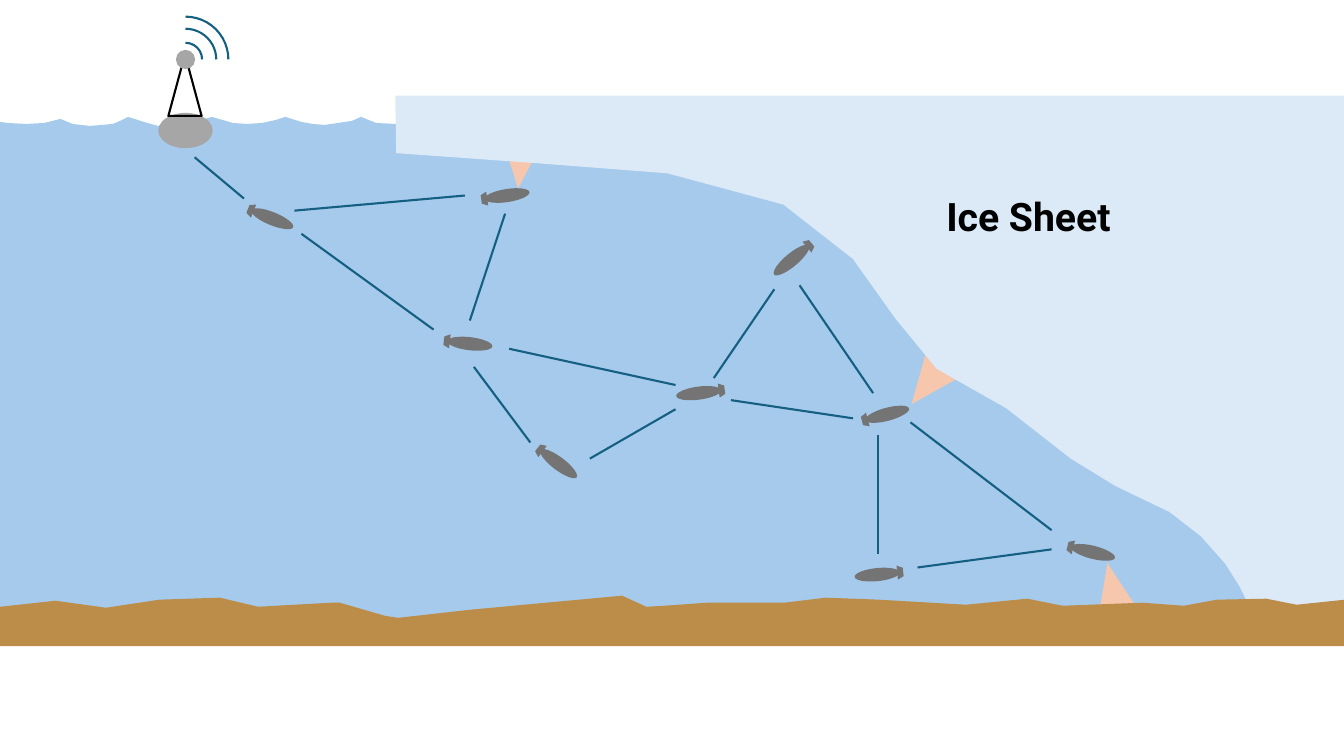
from math import cos, radians, sin

from lxml.etree import SubElement
from pptx import Presentation
from pptx.dml.color import RGBColor
from pptx.enum.shapes import MSO_CONNECTOR, MSO_SHAPE
from pptx.enum.text import MSO_AUTO_SIZE, PP_ALIGN
from pptx.oxml.ns import qn
from pptx.util import Inches, Pt

WATER = RGBColor(0xA6, 0xCA, 0xEC)
ICE = RGBColor(0xDC, 0xEA, 0xF7)
SAND = RGBColor(0xBB, 0x8D, 0x49)
SONAR = RGBColor(0xF6, 0xC6, 0xAD)
HULL = RGBColor(0x74, 0x74, 0x74)
BUOY = RGBColor(0xA6, 0xA6, 0xA6)
SIGNAL = RGBColor(0x15, 0x60, 0x82)
BLACK = RGBColor(0, 0, 0)
WHITE = RGBColor(0xFF, 0xFF, 0xFF)

WAVES = [
    (-0.18, 1.17), (-0.06, 1.2), (0.07, 1.22), (0.26, 1.23), (0.44, 1.22),
    (0.6, 1.18), (0.72, 1.23), (0.89, 1.25), (1.12, 1.23), (1.19, 1.2),
    (1.27, 1.16), (1.46, 1.22), (1.57, 1.25), (1.74, 1.24), (1.92, 1.22),
    (2, 1.19), (2.1, 1.16), (2.31, 1.22), (2.45, 1.23), (2.6, 1.22),
    (2.74, 1.19), (2.83, 1.16), (2.99, 1.21), (3.1, 1.23), (3.22, 1.24),
    (3.49, 1.2), (3.58, 1.16), (3.73, 1.22), (3.92, 1.23), (4.05, 1.21),
    (4.21, 1.18), (4.28, 1.14), (4.3, 1.4), (-0.18, 1.4),
]
ICE_EDGE = [
    (3.92, 0.95), (15.4, 0.95), (15.4, 7.29), (14.63, 7.29), (14.55, 7.14),
    (14.43, 6.95), (14.25, 6.8), (13.88, 6.57), (13.4, 6.41), (12.93, 6.18),
    (12.39, 6.01), (12.29, 5.81), (12.15, 5.59), (11.91, 5.32), (11.6, 5.08),
    (11.06, 4.82), (10.62, 4.55), (9.98, 4.05), (9.29, 3.66), (8.88, 3.16),
    (8.46, 2.57), (7.77, 2.03), (6.62, 1.72), (5.33, 1.62), (3.93, 1.52),
]
SEABED = [
    (-0.18, 6.04), (0.55, 5.96), (1.05, 6.03), (1.58, 5.95), (2.18, 5.93),
    (2.56, 6.02), (3.28, 5.98), (3.37, 5.98), (3.82, 6.11), (3.95, 6.13),
    (4.66, 6.05), (6.17, 5.91), (6.41, 6.02), (6.59, 6.01), (7.01, 5.98),
    (7.78, 5.98), (8.19, 5.93), (8.72, 5.95), (9.58, 6), (10.19, 5.94),
    (10.54, 6.01), (11.33, 5.98), (11.74, 6.01), (12.07, 5.95), (12.56, 5.94),
    (12.86, 6), (13.34, 5.95), (13.77, 5.95), (14.16, 5.96), (14.92, 6.06),
    (15.39, 6.13), (15.4, 6.41), (-0.18, 6.41),
]
# left, top, width, height, rotation
CONES = [
    (4.96, 1.39, 0.4, 0.48, 185.1),
    (10.84, 5.58, 0.39, 0.5, 348.1),
    (8.99, 3.58, 0.4, 0.48, 218.2),
]
# centre x, centre y, heading
GLIDERS = [
    (2.7, 2.17, 22.1), (8.8, 4.11, 345), (10.84, 5.48, 14.1),
    (8.7, 5.7, 174.2), (6.93, 3.9, 172.5), (4.66, 3.41, 6.7),
    (7.85, 2.58, 140.1), (5.54, 4.6, 37), (5.03, 1.94, 351.3),
]
LINKS = [
    (5.05, 3.46, 6.7, 3.82), (7.25, 3.97, 8.46, 4.15),
    (10.43, 5.45, 9.1, 5.63), (10.43, 5.26, 9.03, 4.19),
    (8.66, 3.9, 7.93, 2.83), (4.66, 3.18, 5.01, 2.12),
    (8.71, 4.32, 8.71, 5.5), (2.42, 1.97, 1.93, 1.56),
    (4.3, 3.27, 2.99, 2.32), (4.61, 1.94, 2.92, 2.09),
    (7.08, 3.75, 7.68, 2.87), (5.85, 4.55, 6.7, 4.06),
    (5.26, 4.39, 4.7, 3.64),
]


def paint(shape, fill=None, line=None):
    shape.shadow.inherit = False
    if fill is None:
        shape.fill.background()
    else:
        shape.fill.solid()
        shape.fill.fore_color.rgb = fill
    if line is None:
        shape.line.fill.background()
    else:
        shape.line.color.rgb = line
        shape.line.width = Pt(1.5)


def add_form(shapes, kind, box, fill=None, line=None, turn=0):
    shape = shapes.add_shape(kind, *map(Inches, box))
    shape.rotation = turn
    paint(shape, fill, line)


def add_mid(shapes, kind, x, y, wide, high, **look):
    """Add a preset shape around its centre."""
    add_form(shapes, kind, (x - wide / 2, y - high / 2, wide, high), **look)


def add_land(shapes, points, fill):
    """Add a closed outline through the points."""
    dots = [(Inches(x), Inches(y)) for x, y in points]
    builder = shapes.build_freeform(*dots[0])
    builder.add_line_segments(dots[1:], close=True)
    paint(builder.convert_to_shape(), fill)


def add_glider(shapes, x, y, turn):
    """Group a hull with a fin at the end of its long axis."""
    parts = shapes.add_group_shape().shapes
    angle, reach = radians(turn), 0.23
    add_mid(parts, MSO_SHAPE.OVAL, x, y, 0.45, 0.13, fill=HULL, turn=turn)
    add_mid(parts, MSO_SHAPE.FLOWCHART_MANUAL_OPERATION,
            x - reach * cos(angle), y - reach * sin(angle),
            0.14, 0.06, fill=HULL, turn=(turn + 90) % 360)


def add_link(shapes, *ends):
    link = shapes.add_connector(MSO_CONNECTOR.STRAIGHT, *map(Inches, ends))
    link.line.color.rgb = SIGNAL
    link.line.width = Pt(1.5)
    SubElement(link._element.spPr, qn("a:effectLst"))


def add_buoy(shapes):
    x, y = 1.84, 0.59
    add_form(shapes, MSO_SHAPE.OVAL, (1.57, 1.12, 0.54, 0.35), BUOY)
    add_form(shapes, MSO_SHAPE.ISOSCELES_TRIANGLE, (1.67, 0.54, 0.33, 0.61),
             line=BLACK)
    add_mid(shapes, MSO_SHAPE.OVAL, x, y, 0.19, 0.19, fill=BUOY)
    for size in (0.33, 0.61, 0.85):
        add_mid(shapes, MSO_SHAPE.ARC, x, y, size, size, line=SIGNAL)


def add_label(shapes, text, box):
    frame = shapes.add_textbox(*map(Inches, box)).text_frame
    frame.word_wrap = True
    frame.auto_size = MSO_AUTO_SIZE.SHAPE_TO_FIT_TEXT
    para = frame.paragraphs[0]
    para.alignment = PP_ALIGN.CENTER
    run = para.add_run()
    run.text = text
    run.font.name = "Roboto"
    run.font.size = Pt(28)
    run.font.bold = True
    run.font.color.rgb = BLACK


def main():
    deck = Presentation()
    deck.slide_width, deck.slide_height = Inches(13.33), Inches(7.5)
    shapes = deck.slides.add_slide(deck.slide_layouts[6]).shapes

    add_form(shapes, MSO_SHAPE.RECTANGLE, (-0.18, 1.33, 15.16, 4.87), WATER)
    for *box, turn in CONES:
        add_form(shapes, MSO_SHAPE.ISOSCELES_TRIANGLE, box, SONAR, turn=turn)
    add_land(shapes, WAVES, WATER)
    add_land(shapes, ICE_EDGE, ICE)
    add_form(shapes, MSO_SHAPE.RECTANGLE, (8.55, 6.05, 4.61, 1.25), WHITE)
    add_label(shapes, "Ice Sheet", (8.96, 1.86, 2.48, 0.57))
    add_land(shapes, SEABED, SAND)
    for glider in GLIDERS:
        add_glider(shapes, *glider)
    for link in LINKS:
        add_link(shapes, *link)
    add_buoy(shapes)
    deck.save("out.pptx")


if __name__ == "__main__":
    main()
